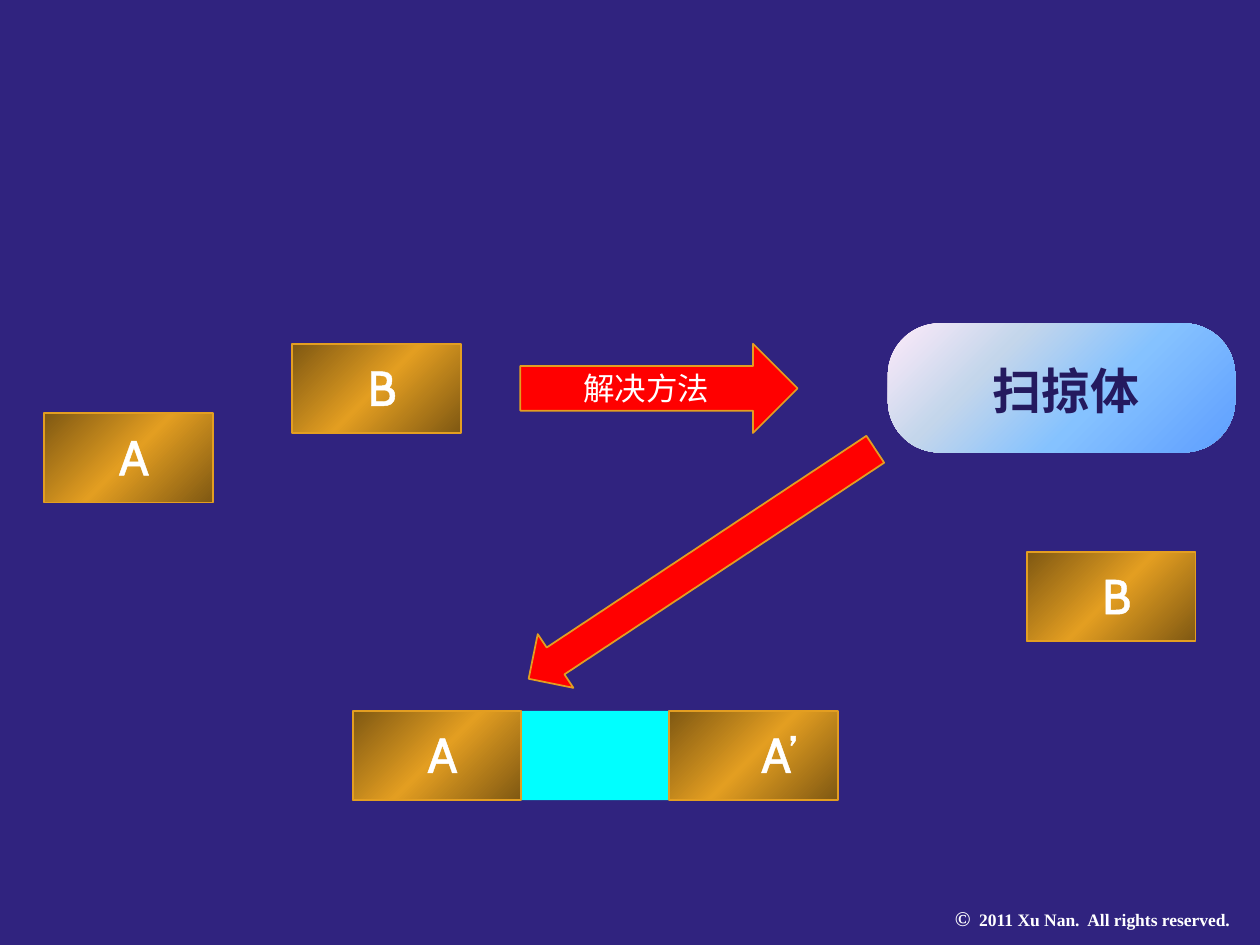
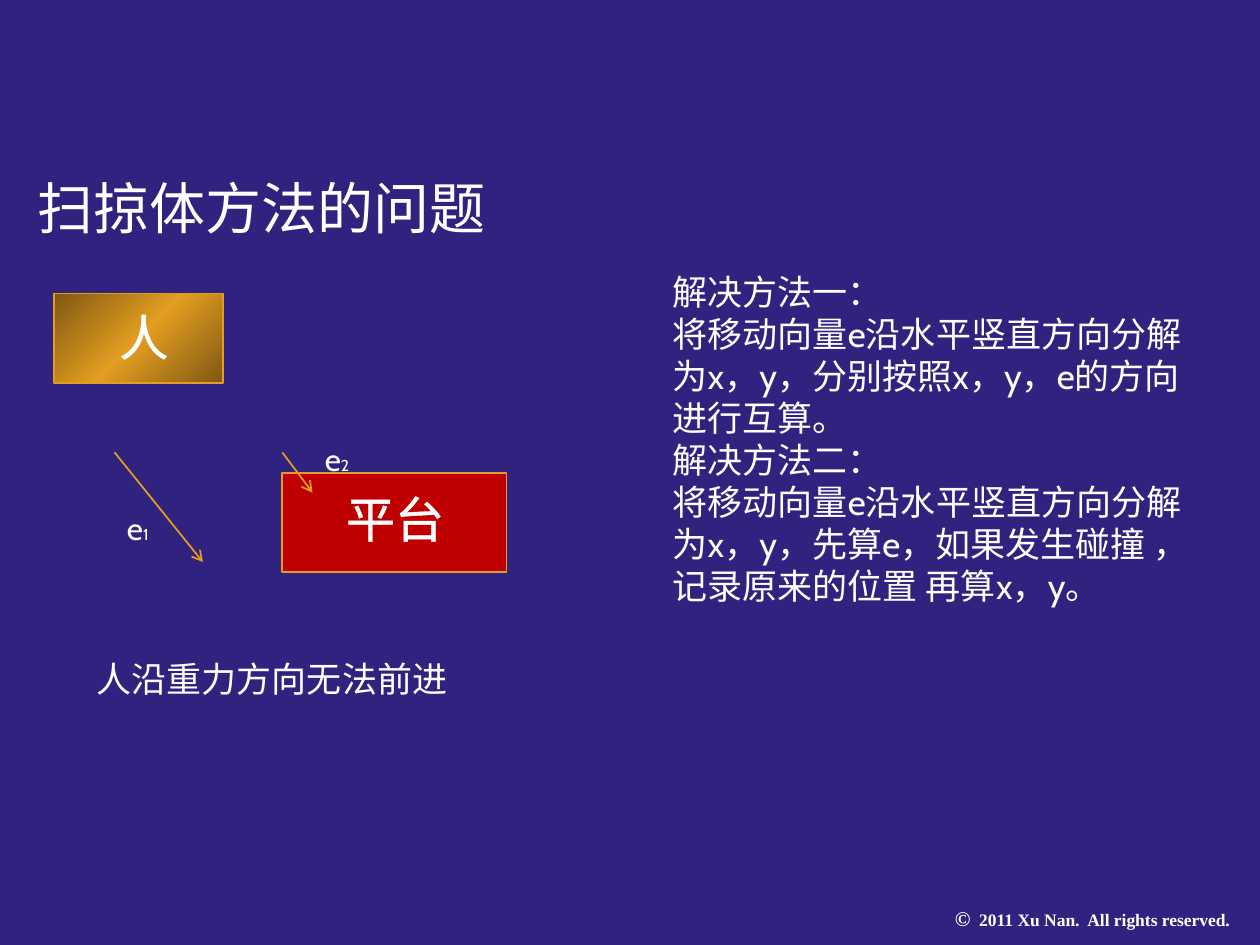
from lxml import etree
from pptx import Presentation
from pptx.dml.color import RGBColor
from pptx.enum.shapes import MSO_CONNECTOR, MSO_SHAPE
from pptx.enum.text import PP_ALIGN
from pptx.oxml.ns import qn
from pptx.util import Cm, Pt

RECT = MSO_SHAPE.RECTANGLE
ROUNDED = MSO_SHAPE.ROUNDED_RECTANGLE
ARROW = MSO_SHAPE.RIGHT_ARROW
STRAIGHT = MSO_CONNECTOR.STRAIGHT
CENTER = PP_ALIGN.CENTER

BACKGROUND, WHITE, NAVY = "30237F", "FFFFFF", "241A5F"
GOLD, RED, DARK_RED, CYAN = "E39E21", "FF0000", "C00000", "00FFFF"
BRONZE = [(0, "7F5812"), (50, GOLD), (100, "7F5812")]
SKY = [(0, "FFEBFA"), (30, "C4D6EB"), (60, "85C2FF"), (100, "5E9EFF")]
CHIP_W, CHIP_H = 3.4, 1.8


def rgb(color):
    return RGBColor.from_string(color)


def cm(*values):
    return [Cm(v) for v in values]


class Deck:
    """Holds the shared style and the slide being drawn; lengths are in cm."""

    font = "Cabin"

    def __init__(self):
        self.prs = Presentation()
        self.prs.slide_width, self.prs.slide_height = cm(25.4, 19.05)
        fill = self.prs.slide_master.background.fill
        fill.solid()
        fill.fore_color.rgb = rgb(BACKGROUND)
        self.s = None

    def new_slide(self):
        self.s = self.prs.slides.add_slide(self.prs.slide_layouts[6])
        tf = self.text((19, 18.14, 6.91, 0.76), "©", size=12, bold=True,
                       font="Times New Roman")
        self.add_run(tf, "  2011 Xu Nan.  All rights reserved.", 10,
                     bold=True, font="Times New Roman")

    def style_run(self, r, size, color=WHITE, bold=False, font=None, outline=False):
        r.font.size, r.font.bold = Pt(size), bold
        r.font.color.rgb = rgb(color)
        r.font.name = font or self.font
        rPr = r.font._element
        ea = etree.Element(qn("a:ea"), typeface=r.font.name)
        rPr.find(qn("a:latin")).addnext(ea)
        if outline:
            ln = etree.Element(qn("a:ln"), w=str(Pt(1.45)))
            fill = etree.SubElement(ln, qn("a:solidFill"))
            etree.SubElement(fill, qn("a:srgbClr"), val=color)
            rPr.insert(0, ln)

    def text(self, box, *paragraphs, size, align=None, fill=None, spacing=None,
             **style):
        sp = self.s.shapes.add_textbox(*cm(*box))
        if fill:
            sp.fill.solid()
            sp.fill.fore_color.rgb = rgb(fill)
        tf = sp.text_frame
        tf.word_wrap = True
        tf.text = "\n".join(paragraphs)
        for p in tf.paragraphs:
            p.alignment, p.line_spacing = align, spacing
            for r in p.runs:
                self.style_run(r, size, **style)
        return tf

    def add_run(self, tf, text, size, **style):
        r = tf.paragraphs[-1].add_run()
        r.text = text
        self.style_run(r, size, **style)

    def shape(self, kind, box, fill, line=GOLD, rotation=0):
        """Draw a preset shape; fill is a colour or a list of gradient stops."""
        sp = self.s.shapes.add_shape(kind, *cm(*box))
        sp.shadow.inherit = False
        sp.rotation = rotation
        if isinstance(fill, str):
            sp.fill.solid()
            sp.fill.fore_color.rgb = rgb(fill)
        else:
            self.gradient(sp, fill)
        if line:
            sp.line.color.rgb = rgb(line)
            sp.line.width = Pt(1)
        else:
            sp.line.fill.background()
        return sp

    def gradient(self, sp, stops):
        sp.fill.gradient()
        sp.fill.gradient_angle = 315
        stop_list = sp._element.spPr.find(qn("a:gradFill")).find(qn("a:gsLst"))
        for gs in list(stop_list):
            stop_list.remove(gs)
        for percent, color in stops:
            gs = etree.SubElement(stop_list, qn("a:gs"), pos=str(percent * 1000))
            etree.SubElement(gs, qn("a:srgbClr"), val=color)

    def chip(self, x, y, label, dx=0.81, label_w=2):
        """Draw a bronze box with its label, set dx from the left edge."""
        self.shape(RECT, (x, y, CHIP_W, CHIP_H), BRONZE)
        self.text((x + dx, y + 0.14, label_w, 1.45), label, size=28,
                  align=CENTER, outline=True)

    def vector(self, start, end):
        line = self.s.shapes.add_connector(STRAIGHT, *cm(*start, *end))
        line.line.color.rgb = rgb(GOLD)
        line.line.width = Pt(1)
        spPr = line._element.spPr
        etree.SubElement(spPr.find(qn("a:ln")), qn("a:tailEnd"), type="arrow")
        etree.SubElement(spPr, qn("a:effectLst"))

    def vector_name(self, x, y, index):
        tf = self.text((x, y, 1.4, 1.02), "e", size=18)
        self.add_run(tf, index, 9)


def sweep_slide(deck):
    deck.new_slide()
    row_y, result_y, result_x = 6.93, 14.33, 7.11
    deck.shape(RECT, (result_x, result_y, 6.4, CHIP_H), CYAN, line=None)
    deck.chip(0.89, 8.33, "A")
    deck.chip(5.89, row_y, "B")

    swept = deck.shape(ROUNDED, (17.9, 6.52, 7, 2.6), SKY, line=None)
    swept.adjustments[0] = 0.4
    deck.text((19.1, 7.14, 4.78, 1.45), "扫掠体", size=28, align=CENTER,
              color=NAVY, bold=True, font="Noto Sans CJK SC")

    deck.shape(ARROW, (10.49, row_y, 5.59, CHIP_H), RED)
    deck.text((11.51, 7.32, 3.81, 1.02), "解决方法", size=18)
    deck.chip(result_x, result_y, "A")
    deck.chip(20.7, 11.13, "B")
    deck.chip(13.49, result_y, "A’", dx=1.02, label_w=2.39)
    deck.shape(ARROW, (9.96, 10.72, 8.38, 1.3), RED, rotation=146.5)


def problem_slide(deck):
    deck.new_slide()
    deck.text((0.51, 3.53, 23.37, 1.5), "扫掠体方法的问题", size=32, spacing=0.9)
    deck.chip(1.09, 5.92, "人")
    deck.shape(RECT, (5.69, 9.53, 4.52, 2.01), DARK_RED)
    deck.text((6.1, 9.73, 3.73, 1.63), "平台", size=28, align=CENTER,
              fill=DARK_RED, outline=True)
    deck.vector((2.31, 9.12), (4.09, 11.33))
    deck.vector((5.69, 9.12), (6.3, 9.93))
    deck.vector_name(2.31, 10.13, "1")
    deck.vector_name(6.3, 8.74, "2")
    deck.text((1.7, 13.13, 8, 1.12), "人沿重力方向无法前进", size=20)
    deck.text((13.31, 5.33, 10.8, 7.09),
              "解决方法一：",
              "将移动向量e沿水平竖直方向分解为x，y，分别按照x，y，e的方向进行互算。",
              "解决方法二：",
              "将移动向量e沿水平竖直方向分解为x，y，先算e，如果发生碰撞 ，"
              "记录原来的位置 再算x，y。",
              size=20)


def main():
    deck = Deck()
    sweep_slide(deck)
    problem_slide(deck)
    deck.prs.save("out.pptx")


if __name__ == "__main__":
    main()
